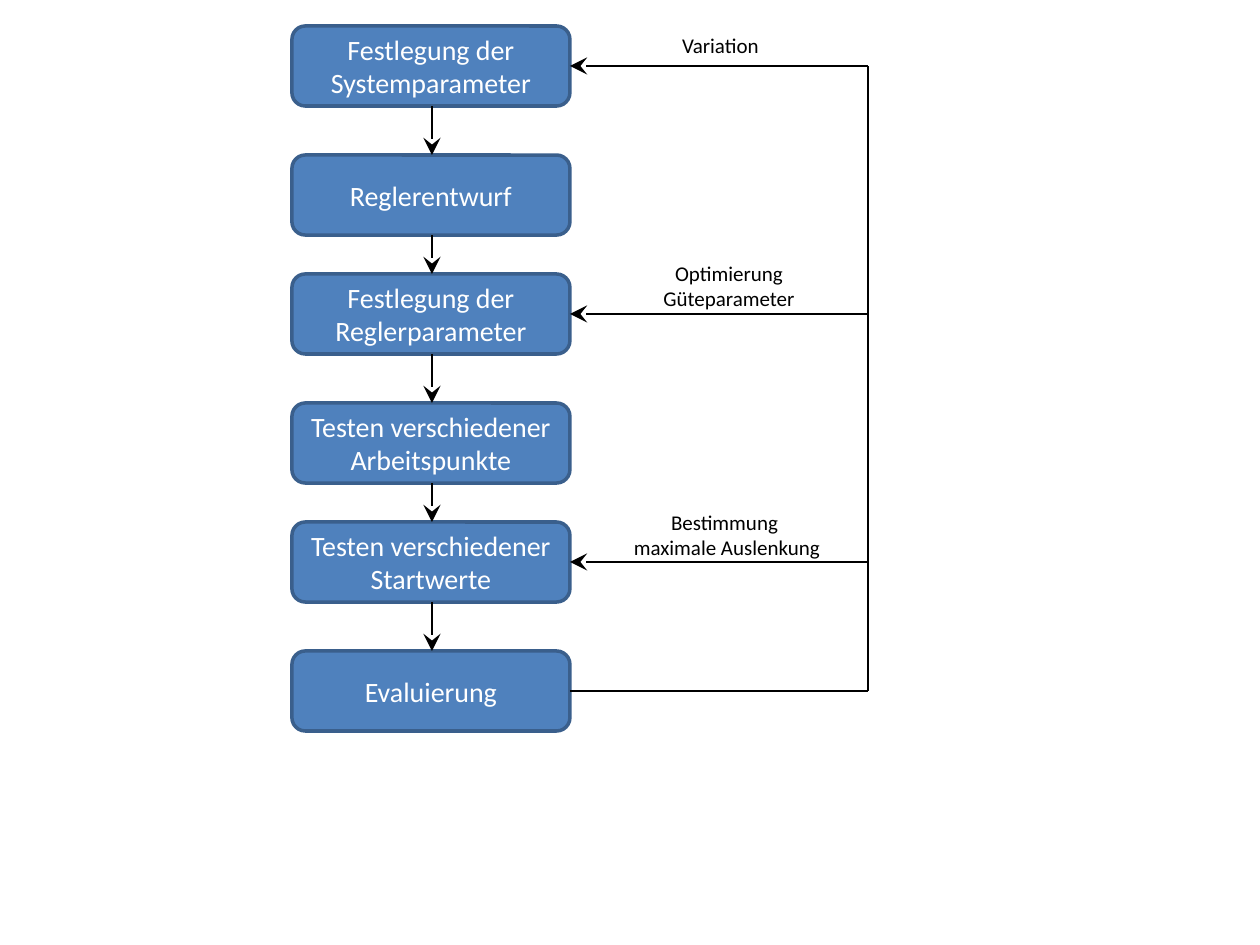
"""Build a flow chart of the controller design steps with its feedback loops."""
from lxml.etree import SubElement
from pptx import Presentation
from pptx.dml.color import RGBColor
from pptx.enum.shapes import MSO_CONNECTOR, MSO_SHAPE
from pptx.enum.text import MSO_ANCHOR, MSO_AUTO_SIZE, PP_ALIGN
from pptx.oxml.ns import qn
from pptx.util import Pt

PX = 914400 // 126
BLUE, BORDER, BLACK, WHITE = "4F81BD", "3A5F8C", "000000", "FFFFFF"

STEPS = [
    "Festlegung der Systemparameter",
    "Reglerentwurf",
    "Festlegung der Reglerparameter",
    "Testen verschiedener Arbeitspunkte",
    "Testen verschiedener Startwerte",
    "Evaluierung",
]
# step index, text, left, width, height, rise above the step's top
FEEDBACK = [
    (0, "Variation", 669, 103, 38, 0),
    (2, "Optimierung\vGüteparameter", 650, 158, 63, 20),
    (4, "Bestimmung \nmaximale Auslenkung", 620, 214, 63, 19),
]

BOX_LEFT, BOX_WIDTH, BOX_HEIGHT = 292, 278, 80
FIRST_TOP, GAPS = 26, (49, 39)
ARROW_X, LOOP_X = 432, 868


def color(value):
    return RGBColor.from_string(value)


def write(shape, text, size, text_color):
    frame = shape.text_frame
    frame.text = text
    for paragraph in frame.paragraphs:
        paragraph.alignment = PP_ALIGN.CENTER
        for run in paragraph.runs:
            run.font.name = "Calibri"
            run.font.size = Pt(size)
            run.font.color.rgb = color(text_color)
    return frame


def add_step(slide, text, top):
    bounds = (BOX_LEFT, top, BOX_WIDTH, BOX_HEIGHT)
    shape = slide.shapes.add_shape(MSO_SHAPE.ROUNDED_RECTANGLE, *(n * PX for n in bounds))
    shape.shadow.inherit = False
    shape.fill.solid()
    shape.fill.fore_color.rgb = color(BLUE)
    shape.line.color.rgb = color(BORDER)
    shape.line.width = Pt(2)
    write(shape, text, 16, WHITE).vertical_anchor = MSO_ANCHOR.MIDDLE


def add_line(slide, start, end, arrow=False):
    line = slide.shapes.add_connector(MSO_CONNECTOR.STRAIGHT, *(n * PX for n in start + end))
    line.line.color.rgb = color(BLACK)
    line.line.width = Pt(1.5)
    properties = line._element.spPr
    if arrow:
        SubElement(properties.find(qn("a:ln")), qn("a:tailEnd"), type="stealth", w="lg", len="lg")
    SubElement(properties, qn("a:effectLst"))


def add_label(slide, text, *bounds):
    box = slide.shapes.add_textbox(*(n * PX for n in bounds))
    frame = write(box, text, 12, BLACK)
    frame.word_wrap = False
    frame.auto_size = MSO_AUTO_SIZE.SHAPE_TO_FIT_TEXT


def main():
    presentation = Presentation()
    presentation.slide_width, presentation.slide_height = 1260 * PX, 945 * PX
    slide = presentation.slides.add_slide(presentation.slide_layouts[6])

    tops = [FIRST_TOP]
    for index in range(len(STEPS) - 1):
        tops.append(tops[-1] + BOX_HEIGHT + GAPS[index % 2])
    middles = [top + BOX_HEIGHT // 2 for top in tops]
    box_right = BOX_LEFT + BOX_WIDTH

    for text, top in zip(STEPS, tops):
        add_step(slide, text, top)
    for top, next_top in zip(tops, tops[1:]):
        add_line(slide, (ARROW_X, top + BOX_HEIGHT), (ARROW_X, next_top), arrow=True)

    add_line(slide, (box_right, middles[-1]), (LOOP_X, middles[-1]))
    add_line(slide, (LOOP_X, middles[-1]), (LOOP_X, middles[0]))
    for step, text, left, width, height, rise in FEEDBACK:
        add_line(slide, (LOOP_X, middles[step]), (box_right, middles[step]), arrow=True)
        add_label(slide, text, left, tops[step] - rise, width, height)

    presentation.save("out.pptx")


if __name__ == "__main__":
    main()
